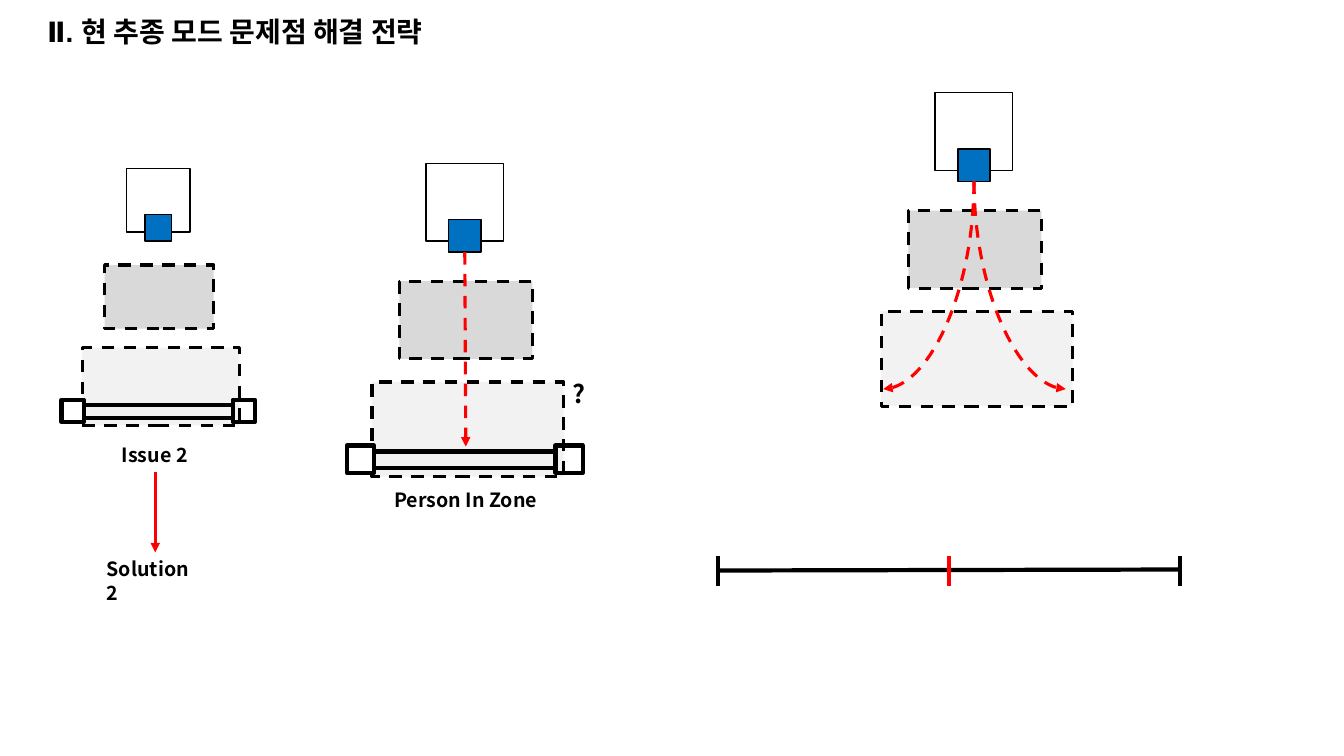
from dataclasses import dataclass

from lxml.etree import SubElement
from pptx import Presentation
from pptx.dml.color import RGBColor
from pptx.enum.dml import MSO_LINE_DASH_STYLE as Dash
from pptx.enum.shapes import MSO_CONNECTOR as Connector, MSO_SHAPE as Shape
from pptx.enum.text import MSO_ANCHOR as Anchor
from pptx.oxml.ns import qn
from pptx.util import Inches, Pt


@dataclass(frozen=True)
class Theme:
    black: str = "000000"
    white: str = "FFFFFF"
    red: str = "FF0000"
    sensor: str = "0070C0"
    near: str = "D9D9D9"
    far: str = "F2F2F2"
    title_font: str = "Arial"
    label_font: str = "Noto Sans CJK KR"
    title: int = 20
    mark: int = 18
    label: int = 14
    thin: float = 1
    medium: float = 2.25
    thick: float = 3


THEME = Theme()


def style_line(line, color, weight, dashed=False):
    line.color.rgb = RGBColor.from_string(color)
    line.width = Pt(weight)
    if dashed:
        line.dash_style = Dash.DASH


def add_text(page, text, left, top, width, height, size=THEME.label,
             font=THEME.label_font, wrap=False):
    box = page.shapes.add_textbox(*map(Inches, (left, top, width, height)))
    box.text_frame.word_wrap = wrap
    para = box.text_frame.paragraphs[0]
    span = para.add_run()
    span.text = text
    formats = {"name": font, "size": Pt(size), "bold": True}
    for name, value in formats.items():
        setattr(span.font, name, value)
    span.font.color.rgb = RGBColor.from_string(THEME.black)
    return box


def add_box(page, left, top, width, height, fill, weight, dashed=False):
    box = page.shapes.add_shape(Shape.RECTANGLE, *map(Inches, (left, top, width, height)))
    box.shadow.inherit = False
    if fill:
        box.fill.solid()
        box.fill.fore_color.rgb = RGBColor.from_string(fill)
    else:
        box.fill.background()
    style_line(box.line, THEME.black, weight, dashed)
    return box


def add_line(page, start, end, color=THEME.black, weight=THEME.thick,
             dashed=False, arrow=False, kind=Connector.STRAIGHT):
    line = page.shapes.add_connector(kind, *map(Inches, (*start, *end)))
    style_line(line.line, color, weight, dashed)
    if arrow:
        SubElement(line.line._get_or_add_ln(), qn("a:tailEnd"), type="triangle")
    SubElement(line._element.spPr, qn("a:effectLst"))
    return line


def add_turn(page, start, end):
    """Curved arrow that leaves downwards and ends sideways."""
    drop, spread = end[1] - start[1], abs(end[0] - start[0])
    middle_x, middle_y = (start[0] + end[0]) / 2, (start[1] + end[1]) / 2
    side = 1 if end[0] < start[0] else -1
    # The unrotated frame lies on its side around the same middle
    turn = add_line(page, (middle_x - side * drop / 2, middle_y - spread / 2),
                    (middle_x + side * drop / 2, middle_y + spread / 2),
                    THEME.red, THEME.medium, True, True, Connector.CURVE)
    properties = turn._element.spPr
    properties.find(qn("a:prstGeom")).set("prst", "curvedConnector2")
    properties.find(qn("a:xfrm")).set("rot", str((90 if side > 0 else 270) * 60000))


def add_robot(page, center, top, scale=1.0):
    """Robot with its near and far zones; returns the sensor."""
    parts = [  # shift of the middle, drop, width, height, fill, weight, dashed
        (0.03, 2.17, 1.9, 0.94, THEME.far, THEME.medium, True),
        (0, 0, 0.77, 0.77, THEME.white, THEME.thin, False),
        (0, 0.56, 0.32, 0.32, THEME.sensor, THEME.thin, False),
        (0.01, 1.17, 1.32, 0.77, THEME.near, THEME.medium, True),
    ]
    boxes = [
        add_box(page, center + (shift - width / 2) * scale, top + drop * scale,
                width * scale, height * scale, *look)
        for shift, drop, width, height, *look in parts
    ]
    return boxes[2]


def add_barrier(page, center, top, scale=1.0):
    """Two posts joined by two rails, placed from the robot's top."""
    post, reach = 0.27 * scale, 0.9 * scale
    post_top = top + 2.8 * scale
    add_box(page, center - reach - post, post_top, post, post, THEME.white, THEME.thick)
    for drop in (2.86, 3.02):
        y = top + drop * scale
        add_line(page, (center - reach, y), (center + reach, y))
    add_box(page, center + reach, post_top, post, post, None, THEME.thick)


def add_scale_bar(page, left, y, step):
    add_line(page, (left, y), (left + 2 * step, y - 0.01))
    for index, color in enumerate((THEME.black, THEME.red, THEME.black)):
        x = left + index * step
        add_line(page, (x, y - 0.14), (x, y + 0.15), color)


def main():
    deck = Presentation()
    deck.slide_width, deck.slide_height = Inches(13.33), Inches(7.5)
    page = deck.slides.add_slide(deck.slide_layouts[6])

    # Title
    title = add_text(page, "Ⅱ. 현 추종 모드 문제점 해결 전략", 0.37, 0.05, 9.14, 0.57,
                     THEME.title, THEME.title_font, True)
    title.text_frame.vertical_anchor = Anchor.MIDDLE
    title.text_frame.paragraphs[0].line_spacing = 0.9

    # Issue and its solution
    issue = add_text(page, "Issue 2", 1.11, 4.34, 0.86, 0.34)
    solution = add_text(page, "Solution 2", 0.96, 5.48, 1.16, 0.34, wrap=True)
    arrow = add_line(page, (1.54, 4.68), (1.54, 5.48), THEME.red, THEME.medium, arrow=True)
    arrow.begin_connect(issue, 2)
    arrow.end_connect(solution, 0)
    add_robot(page, 1.57, 1.67, 0.82)
    add_barrier(page, 1.57, 1.67, 0.82)

    # Person in zone
    sensor = add_robot(page, 4.61, 1.62)
    add_barrier(page, 4.61, 1.62)
    sight = add_line(page, (4.61, 2.5), (4.62, 4.43), THEME.red, THEME.medium, True, True)
    sight.begin_connect(sensor, 2)
    add_text(page, "?", 5.58, 3.7, 0.32, 0.4, THEME.mark)
    add_text(page, "Person In Zone", 3.81, 4.79, 1.62, 0.34)

    # Search to both sides
    add_robot(page, 9.66, 0.92)
    for x in (8.76, 10.57):
        add_turn(page, (9.66, 1.8), (x, 3.86))

    # Scale bar
    add_scale_bar(page, 7.12, 5.66, 2.29)

    deck.save("out.pptx")


if __name__ == "__main__":
    main()
